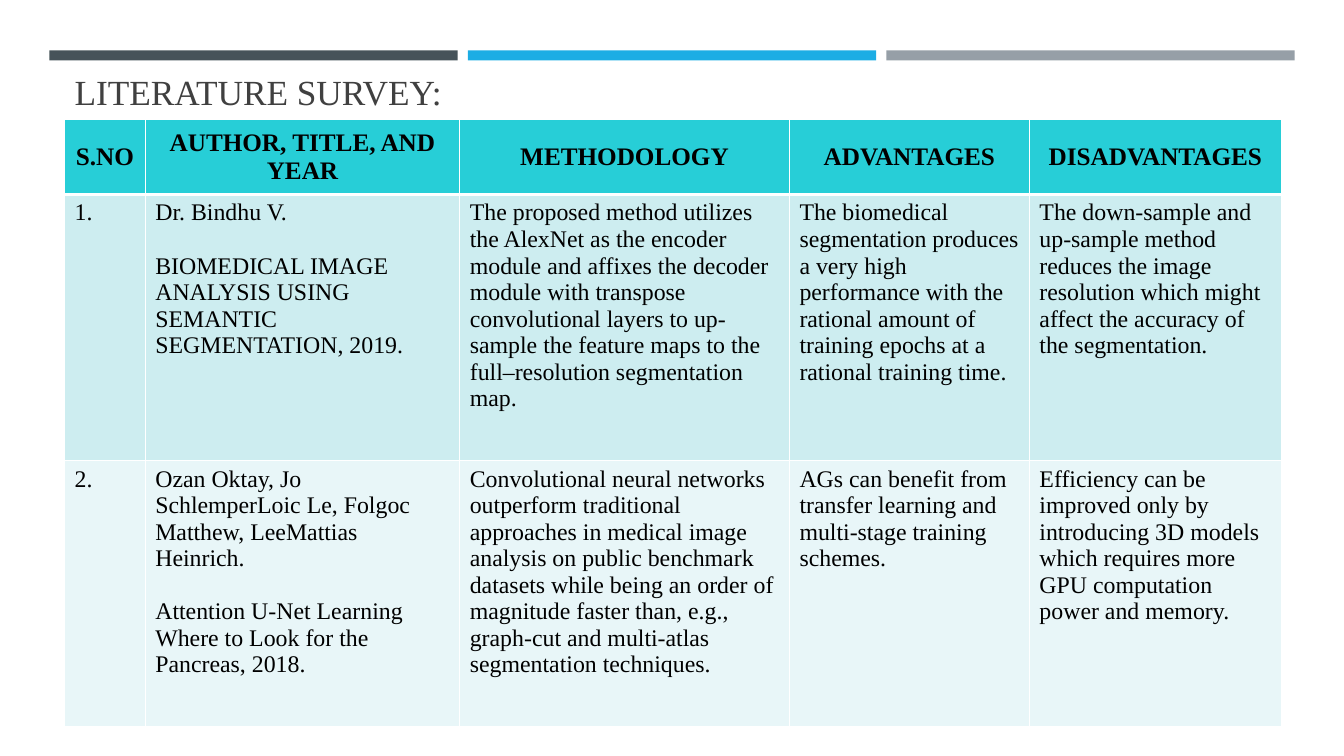
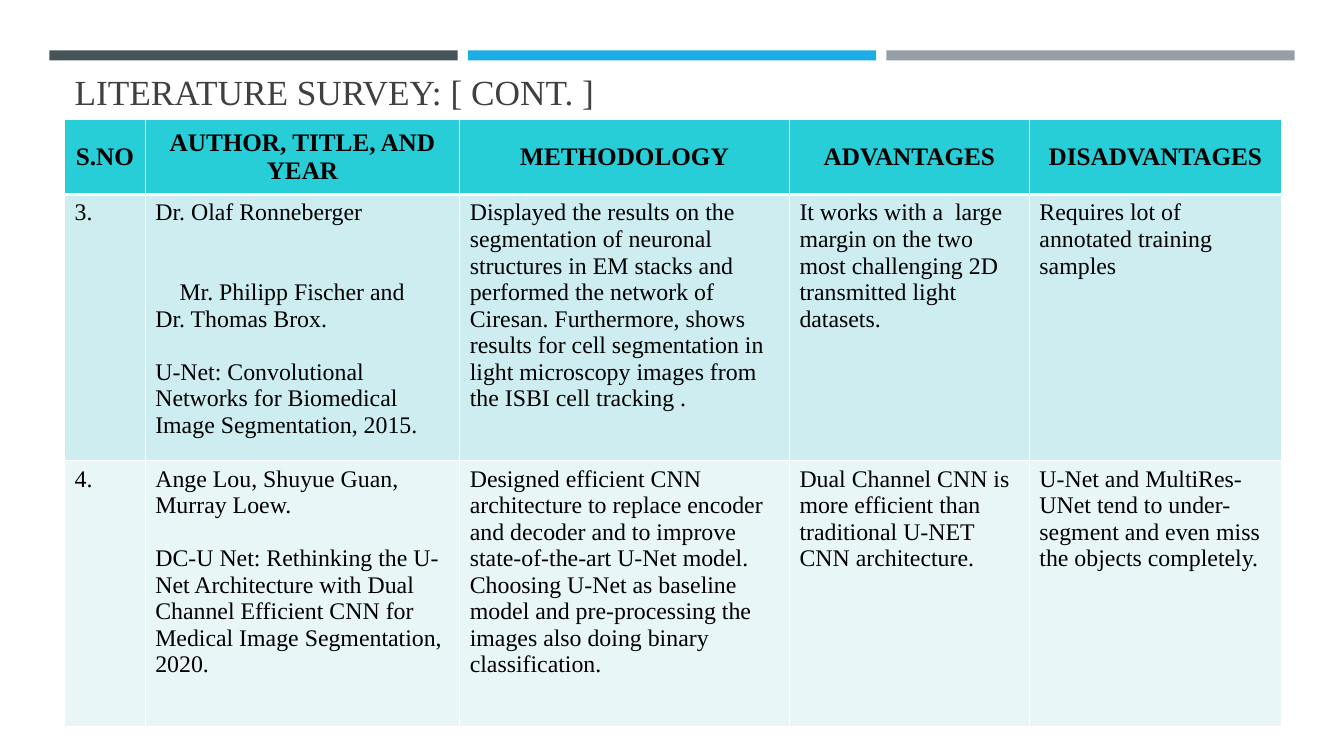
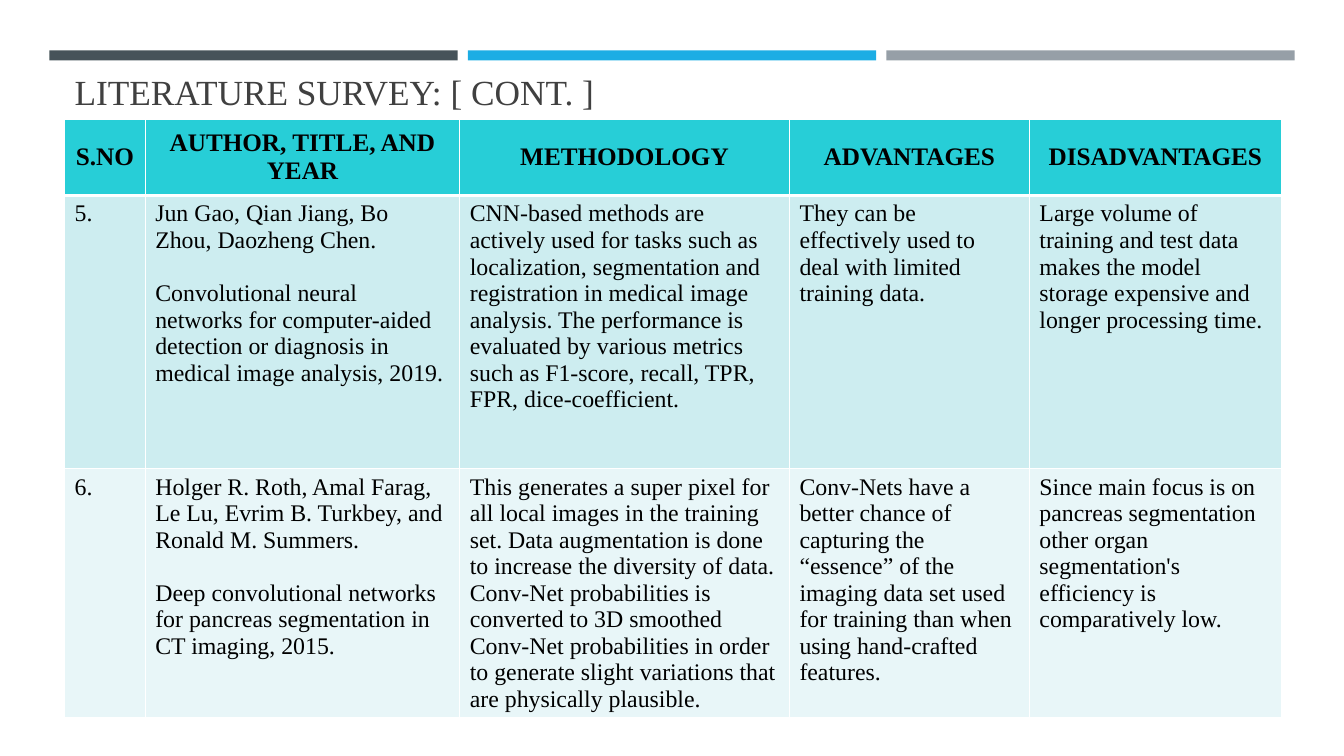
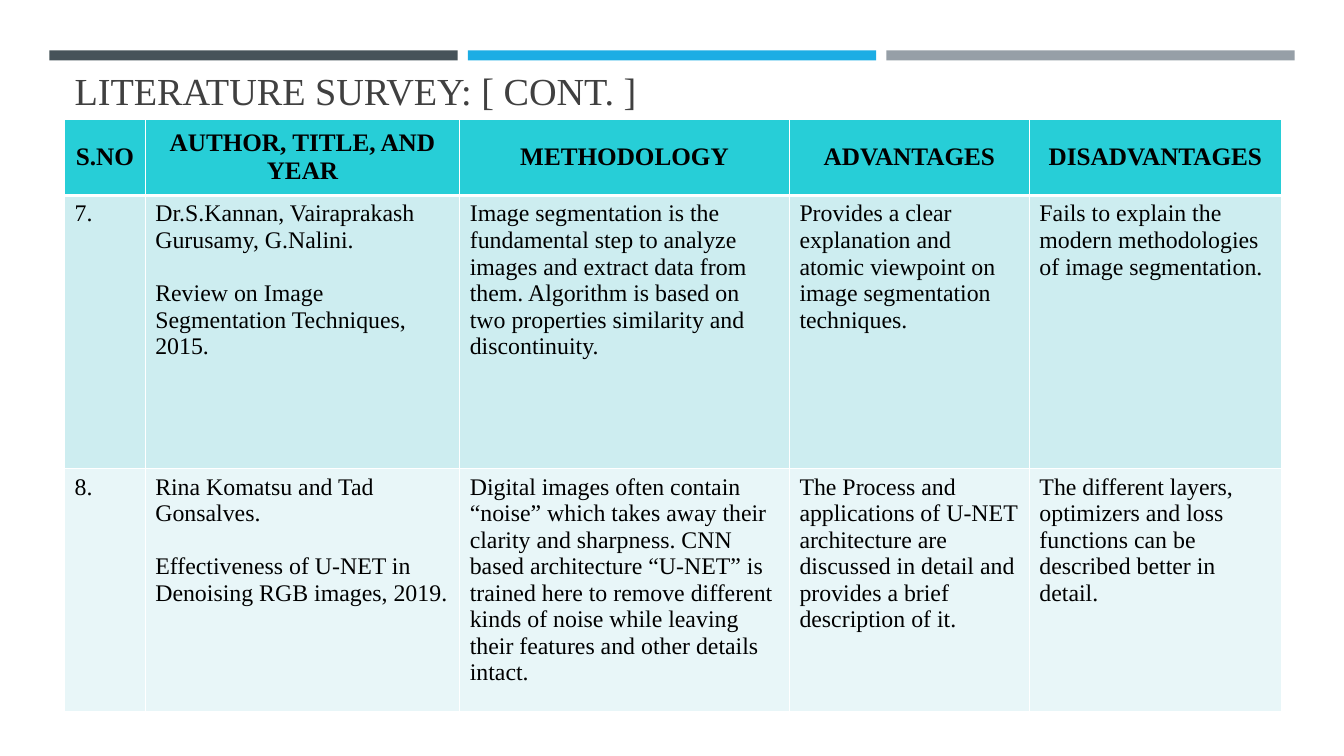
from dataclasses import dataclass

from lxml.etree import SubElement
from pptx import Presentation
from pptx.dml.color import RGBColor
from pptx.enum.shapes import MSO_SHAPE as Shape
from pptx.enum.text import MSO_ANCHOR as Anchor, MSO_AUTO_SIZE as AutoSize, PP_ALIGN as Align
from pptx.oxml.ns import qn
from pptx.util import Inches, Pt


@dataclass
class Para:
    """A paragraph with a gap above, in lines, and a first-line indent, in inches."""
    text: str
    gap: int = 0
    indent: float = 0


FONT = "Times New Roman"
INK, TITLE_INK, WHITE = "000000", "404040", "FFFFFF"
BAND_COLOURS = ["465359", "1CADE4", "969FA7"]
HEADER_FILL, ROW_FILLS = "27CED7", ["CDEDF0", "E8F6F8"]
HEADER_SIZE, BODY_SIZE, LINE_HEIGHT = 18, 17, 19

LEFT, WIDTH = 0.64, 12.06
TITLE_TOP, TITLE_HEIGHT = 0.62, 0.55
TABLE_TOP = 1.18
COLUMN_WIDTHS = [0.8, 3.12, 3.27, 2.38, 2.5]
BAND_LEFT, BAND_TOP, BAND_WIDTH, BAND_HEIGHT, BAND_STEP = 0.49, 0.5, 4.05, 0.1, 4.15

HEADERS = ["S.NO", "AUTHOR, TITLE, AND YEAR", "METHODOLOGY", "ADVANTAGES", "DISADVANTAGES"]
CONTINUED = "LITERATURE SURVEY: [ CONT. ]"
EVEN_ROWS, UNEVEN_ROWS = [0.75, 2.64, 2.64], [0.76, 2.71, 2.41]

# Each slide: title, title size, row heights, papers
SURVEY = [
    ("LITERATURE SURVEY:", 25.2, EVEN_ROWS, [
        ("1.",
         [Para("Dr. Bindhu V."),
          Para("BIOMEDICAL IMAGE ANALYSIS USING SEMANTIC SEGMENTATION, 2019.", gap=1)],
         "The proposed method utilizes the AlexNet as the encoder module and affixes the decoder "
         "module with transpose convolutional layers to up-sample the feature maps to the "
         "full–resolution segmentation map.",
         "The biomedical segmentation produces a very high performance with the rational amount "
         "of training epochs at a rational training time.",
         "The down-sample and up-sample method reduces the image resolution which might affect "
         "the accuracy of the segmentation."),
        ("2.",
         [Para("Ozan Oktay, Jo SchlemperLoic Le, Folgoc Matthew, LeeMattias Heinrich."),
          Para("Attention U-Net Learning Where to Look for the Pancreas, 2018.", gap=1)],
         "Convolutional neural networks outperform traditional approaches in medical image "
         "analysis on public benchmark datasets while being an order of magnitude faster than, "
         "e.g., graph-cut and multi-atlas segmentation techniques.",
         "AGs can benefit from transfer learning and multi-stage training schemes.",
         "Efficiency can be improved only by introducing 3D models which requires more GPU "
         "computation power and memory."),
    ]),
    (CONTINUED, 25.2, EVEN_ROWS, [
        ("3.",
         [Para("Dr. Olaf Ronneberger"),
          Para("Mr. Philipp Fischer and", gap=2, indent=0.24),
          Para("Dr. Thomas Brox."),
          Para("U-Net: Convolutional Networks for Biomedical Image Segmentation, 2015.", gap=1)],
         "Displayed the results on the segmentation of neuronal structures in EM stacks and "
         "performed the network of Ciresan. Furthermore, shows results for cell segmentation in "
         "light microscopy images from the ISBI cell tracking .",
         "It works with a  large margin on the two most challenging 2D transmitted light datasets.",
         "Requires lot of annotated training samples"),
        ("4.",
         [Para("Ange Lou, Shuyue Guan, Murray Loew."),
          Para("DC-U Net: Rethinking the U-Net Architecture with Dual Channel Efficient CNN for "
               "Medical Image Segmentation,", gap=1),
          Para("2020.")],
         "Designed efficient CNN architecture to replace encoder and decoder and to improve "
         "state-of-the-art U-Net model. Choosing U-Net as baseline model and pre-processing the "
         "images also doing binary classification.",
         "Dual Channel CNN is more efficient than traditional U-NET CNN architecture.",
         "U-Net and MultiRes-UNet tend to under-segment and even miss the objects completely."),
    ]),
    (CONTINUED, 25.2, UNEVEN_ROWS, [
        ("5.",
         [Para("Jun Gao, Qian Jiang, Bo Zhou, Daozheng Chen."),
          Para("Convolutional neural networks for computer-aided detection or diagnosis in "
               "medical image analysis, 2019.", gap=1)],
         "CNN-based methods are actively used for tasks such as localization, segmentation and "
         "registration in medical image analysis. The performance is evaluated by various metrics "
         "such as F1-score, recall, TPR, FPR, dice-coefficient.",
         "They can be effectively used to deal with limited training data.",
         "Large volume of training and test data makes the model storage expensive and longer "
         "processing time."),
        ("6.",
         [Para("Holger R. Roth, Amal Farag, Le Lu, Evrim B. Turkbey, and Ronald M. Summers."),
          Para("Deep convolutional networks for pancreas segmentation in CT imaging, 2015.", gap=1)],
         "This generates a super pixel for all local images in the training set. Data augmentation "
         "is done to increase the diversity of data. Conv-Net probabilities is converted to 3D "
         "smoothed Conv-Net probabilities in order to generate slight variations that are "
         "physically plausible.",
         "Conv-Nets have a better chance of capturing the “essence” of the imaging data set used "
         "for training than when using hand-crafted features.",
         "Since main focus is on pancreas segmentation other organ segmentation's efficiency is "
         "comparatively low."),
    ]),
    (CONTINUED, 27.3, UNEVEN_ROWS, [
        ("7.",
         [Para("Dr.S.Kannan, Vairaprakash Gurusamy, G.Nalini."),
          Para("Review on Image Segmentation Techniques, 2015.", gap=1)],
         "Image segmentation is the fundamental step to analyze images and extract data from "
         "them. Algorithm is based on two properties similarity and discontinuity.",
         "Provides a clear explanation and atomic viewpoint on image segmentation techniques.",
         "Fails to explain the modern methodologies of image segmentation."),
        ("8.",
         [Para("Rina Komatsu and Tad Gonsalves."),
          Para("Effectiveness of U-NET in Denoising RGB images, 2019.", gap=1)],
         "Digital images often contain “noise” which takes away their clarity and sharpness. CNN "
         "based architecture “U-NET” is trained here to remove different kinds of noise while "
         "leaving their features and other details intact.",
         "The Process and applications of U-NET architecture are discussed in detail and provides "
         "a brief description of it.",
         "The different layers, optimizers and loss functions can be described better in detail."),
    ]),
]


def rgb(colour):
    return RGBColor.from_string(colour)


def set_font(paragraph, size, colour, bold=False):
    font = paragraph.font
    font.name, font.size, font.bold = FONT, Pt(size), bold
    font.color.rgb = rgb(colour)


def move_bands_to_layout(slide):
    """Draw the three top bands and hand them to the layout that all slides share."""
    for number, colour in enumerate(BAND_COLOURS):
        band = slide.shapes.add_shape(
            Shape.RECTANGLE, Inches(BAND_LEFT + number * BAND_STEP), Inches(BAND_TOP),
            Inches(BAND_WIDTH), Inches(BAND_HEIGHT))
        band.shadow.inherit = False
        band.fill.solid()
        band.fill.fore_color.rgb = rgb(colour)
        band.line.fill.background()
        band.element.xpath(".//p:cNvPr")[0].set("id", str(100 + number))
        slide.slide_layout.shapes.element.append(band.element)


def set_title(slide, text, size):
    title = slide.shapes.title
    title.left, title.top = Inches(LEFT), Inches(TITLE_TOP)
    title.width, title.height = Inches(WIDTH), Inches(TITLE_HEIGHT)
    frame = title.text_frame
    frame.text = text
    frame.auto_size = AutoSize.NONE
    frame.vertical_anchor = Anchor.BOTTOM
    frame.paragraphs[0].alignment = Align.LEFT
    set_font(frame.paragraphs[0], size, TITLE_INK)


def set_borders(cell, top, bottom):
    """Draw white borders; must run before the fill is set, as the schema wants lines first."""
    properties = cell._tc.get_or_add_tcPr()
    for side, points in (("L", 1), ("R", 1), ("T", top), ("B", bottom)):
        line = SubElement(properties, qn(f"a:ln{side}"), w=str(Pt(points)))
        SubElement(SubElement(line, qn("a:solidFill")), qn("a:srgbClr"), val=WHITE)


def fill_cell(cell, content, row):
    is_header = row == 0
    set_borders(cell, top=3 if row == 1 else 1, bottom=3 if is_header else 1)
    cell.fill.solid()
    cell.fill.fore_color.rgb = rgb(HEADER_FILL if is_header else ROW_FILLS[row - 1])
    cell.vertical_anchor = Anchor.MIDDLE if is_header else Anchor.TOP

    parts = [Para(content)] if isinstance(content, str) else content
    cell.text = "\n".join(part.text for part in parts)
    for part, paragraph in zip(parts, cell.text_frame.paragraphs):
        paragraph.alignment = Align.CENTER if is_header else Align.LEFT
        set_font(paragraph, HEADER_SIZE if is_header else BODY_SIZE, INK, is_header)
        if part.gap:
            paragraph.space_before = Pt(part.gap * LINE_HEIGHT)
        if part.indent:
            paragraph._p.get_or_add_pPr().set("indent", str(Inches(part.indent)))


def add_survey(slide, row_heights, papers):
    rows = [HEADERS, *papers]
    table = slide.shapes.add_table(
        len(rows), len(HEADERS), Inches(LEFT), Inches(TABLE_TOP),
        Inches(WIDTH), Inches(sum(row_heights))).table
    table.horz_banding = False
    for column, width in zip(table.columns, COLUMN_WIDTHS):
        column.width = Inches(width)
    for row, (contents, height) in enumerate(zip(rows, row_heights)):
        table.rows[row].height = Inches(height)
        for column, content in enumerate(contents):
            fill_cell(table.cell(row, column), content, row)


def main():
    deck = Presentation()
    deck.slide_width, deck.slide_height = Inches(13.33), Inches(7.5)
    title_only = deck.slide_layouts[5]
    for title, size, row_heights, papers in SURVEY:
        slide = deck.slides.add_slide(title_only)
        set_title(slide, title, size)
        add_survey(slide, row_heights, papers)
    move_bands_to_layout(deck.slides[0])
    deck.save("out.pptx")


if __name__ == "__main__":
    main()
